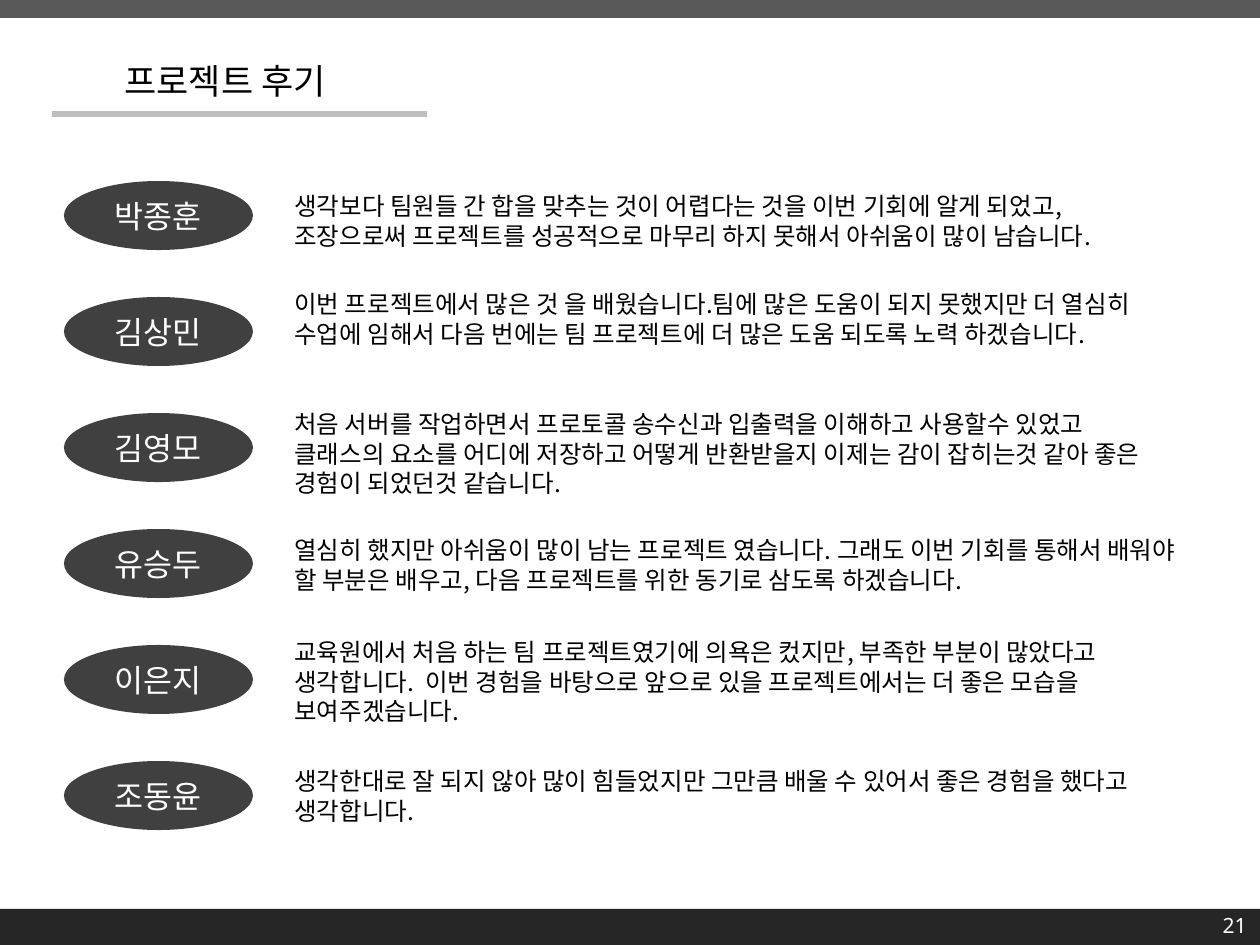
from dataclasses import dataclass

from lxml.etree import SubElement
from pptx import Presentation
from pptx.dml.color import RGBColor as Color
from pptx.enum.shapes import MSO_SHAPE as Preset
from pptx.enum.text import MSO_ANCHOR as Anchor, MSO_AUTO_SIZE as AutoSize, PP_ALIGN as Align
from pptx.oxml.ns import qn
from pptx.util import Emu, Pt


@dataclass(frozen=True)
class Theme:
    korean: str = "Noto Sans CJK KR"
    latin: str = "Noto Sans"
    black: str = "000000"
    white: str = "FFFFFF"
    top_bar: str = "595959"
    bottom_bar: str = "262626"
    underline: str = "BFBFBF"
    badge: str = "404040"
    title_size: int = 20
    name_size: int = 18
    review_size: int = 14
    number_size: int = 12


THEME = Theme()
EMU_PER_PX = 914400 / 126
SLIDE_WIDTH, SLIDE_HEIGHT = 1260, 945
BADGE_LEFT, BADGE_TOP, BADGE_WIDTH, BADGE_HEIGHT = 64, 181, 189, 69
BADGE_STEP = 116
REVIEW_LEFT = 282

REVIEWS = [
    ("박종훈", 185, 903, 72,
     "생각보다 팀원들 간 합을 맞추는 것이 어렵다는 것을 이번 기회에 알게 되었고,\n"
     "조장으로써 프로젝트를 성공적으로 마무리 하지 못해서 아쉬움이 많이 남습니다."),
    ("김상민", 283, 883, 131,
     "이번 프로젝트에서 많은 것 을 배웠습니다.팀에 많은 도움이 되지 못했지만 더 "
     "열심히 수업에 임해서 다음 번에는 팀 프로젝트에 더 많은 도움 되도록 노력 하겠습니다."),
    ("김영모", 403, 883, 102,
     "처음 서버를 작업하면서 프로토콜 송수신과 입출력을 이해하고 사용할수 있었고 "
     "클래스의 요소를 어디에 저장하고 어떻게 반환받을지 이제는 감이 잡히는것 같아 "
     "좋은 경험이 되었던것 같습니다."),
    ("유승두", 529, 922, 72,
     "열심히 했지만 아쉬움이 많이 남는 프로젝트 였습니다. 그래도 이번 기회를 통해서 "
     "배워야 할 부분은 배우고, 다음 프로젝트를 위한 동기로 삼도록 하겠습니다."),
    ("이은지", 631, 922, 102,
     "교육원에서 처음 하는 팀 프로젝트였기에 의욕은 컸지만, 부족한 부분이 많았다고 "
     "생각합니다.  이번 경험을 바탕으로 앞으로 있을 프로젝트에서는 더 좋은 모습을 "
     "보여주겠습니다."),
    ("조동윤", 760, 883, 72,
     "생각한대로 잘 되지 않아 많이 힘들었지만 그만큼 배울 수 있어서 좋은 경험을 "
     "했다고 생각합니다."),
]


def px(value):
    return Emu(round(value * EMU_PER_PX))


def write_text(shape, text, size, color, font=THEME.korean, align=Align.LEFT,
               anchor=Anchor.MIDDLE, line_spacing=None):
    text_frame = shape.text_frame
    text_frame.text = text
    text_frame.word_wrap = True
    text_frame.vertical_anchor = anchor
    for paragraph in text_frame.paragraphs:
        paragraph.alignment = align
        paragraph.line_spacing = line_spacing
        for run in paragraph.runs:
            run.font.size = Pt(size)
            run.font.name = font
            run.font.color.rgb = Color.from_string(color)
            SubElement(run.font._element, qn("a:ea"), typeface=font)


def add_block(slide, preset, left, top, width, height, fill):
    shape = slide.shapes.add_shape(preset, px(left), px(top), px(width), px(height))
    shape.shadow.inherit = False
    shape.fill.solid()
    shape.fill.fore_color.rgb = Color.from_string(fill)
    shape.line.fill.background()
    return shape


def add_text(slide, left, top, width, height, text, size, color, **style):
    shape = slide.shapes.add_textbox(px(left), px(top), px(width), px(height))
    write_text(shape, text, size, color, **style)
    return shape


def add_frame(slide):
    add_block(slide, Preset.RECTANGLE, 0, 0, SLIDE_WIDTH, 18, THEME.top_bar)
    add_block(slide, Preset.RECTANGLE, 0, 909, SLIDE_WIDTH, 36, THEME.bottom_bar)
    add_text(slide, 965, 900, 294, 50, "21", THEME.number_size, THEME.white,
             font=THEME.latin, align=Align.RIGHT)


def add_title(slide):
    add_text(slide, 112, 39, 426, 62, "프로젝트 후기", THEME.title_size, THEME.black,
             line_spacing=1.5)
    add_block(slide, Preset.RECTANGLE, 52, 111, 375, 6, THEME.underline)


def add_badge(slide, index, name):
    badge = add_block(slide, Preset.OVAL, BADGE_LEFT, BADGE_TOP + index * BADGE_STEP,
                      BADGE_WIDTH, BADGE_HEIGHT, THEME.badge)
    write_text(badge, name, THEME.name_size, THEME.white, align=Align.CENTER)


def add_review(slide, top, width, height, text):
    review = add_text(slide, REVIEW_LEFT, top, width, height, text,
                      THEME.review_size, THEME.black, anchor=Anchor.TOP)
    review.text_frame.auto_size = AutoSize.SHAPE_TO_FIT_TEXT


def main():
    presentation = Presentation()
    presentation.slide_width = px(SLIDE_WIDTH)
    presentation.slide_height = px(SLIDE_HEIGHT)
    slide = presentation.slides.add_slide(presentation.slide_layouts[6])
    add_frame(slide)
    add_title(slide)
    for index, (name, top, width, height, text) in enumerate(REVIEWS):
        add_badge(slide, index, name)
        add_review(slide, top, width, height, text)
    presentation.save("out.pptx")


if __name__ == "__main__":
    main()
